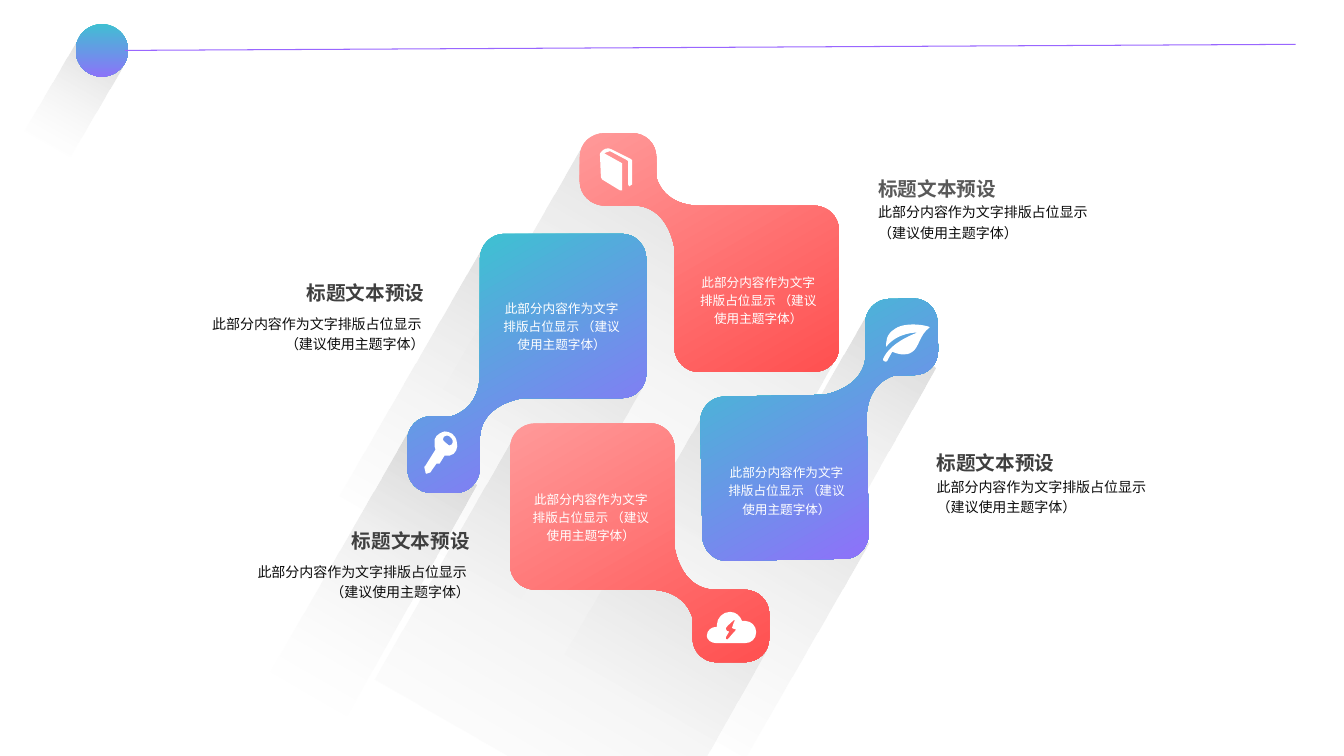
from math import cos, radians, sin

from lxml import etree
from pptx import Presentation
from pptx.dml.color import RGBColor
from pptx.enum.shapes import MSO_CONNECTOR, MSO_SHAPE
from pptx.enum.text import MSO_ANCHOR, PP_ALIGN
from pptx.oxml.ns import qn
from pptx.util import Inches, Pt

OVAL, RECT = MSO_SHAPE.OVAL, MSO_SHAPE.RECTANGLE
STRAIGHT = MSO_CONNECTOR.STRAIGHT
TOP, MIDDLE, BOTTOM = MSO_ANCHOR.TOP, MSO_ANCHOR.MIDDLE, MSO_ANCHOR.BOTTOM
LEFT, CENTER, RIGHT = PP_ALIGN.LEFT, PP_ALIGN.CENTER, PP_ALIGN.RIGHT

COLORS = {
    "white": "FFFFFF", "gray": "BFBFBF", "teal": "33CCCC", "violet": "9966FF",
    "pink": "FF9999", "red": "FF5050", "dark": "3F3F3F", "mid": "595959", "ink": "0C0C0C",
}
BLUE, WARM, FADE = ("teal", "violet"), ("pink", "red"), ("gray", "white")
TILT = 30
WIDTH, HEIGHT = 13.33, 7.5

HEAD = "标题文本预设"
INNER = "此部分内容作为文字排版占位显示 （建议使用主题字体）"
BODY = "此部分内容作为文字排版占位显示 \v（建议使用主题字体）"

BLOB = [
    (0, 0), (.27, 0), (.29, 0), (.36, 0, .61, .02, .69, .42), (.69, 1.41),
    (.69, 1.54, .8, 1.65, .93, 1.65), (2.07, 1.65), (2.21, 1.65, 2.32, 1.54, 2.32, 1.41),
    (2.32, .24), (2.32, .11, 2.21, 0, 2.07, 0), (.9, 0), (.77, -.01, .58, -.06, .51, -.28),
    (.51, -.48), (.51, -.62, .4, -.72, .27, -.72), (0, -.72),
    (-.14, -.72, -.25, -.62, -.25, -.48), (-.25, -.24), (-.25, -.11, -.14, 0, 0, 0),
]
KEY = [[
    (.32, .1), (.31, .03, .25, 0, .2, 0), (.13, .02, .09, .06, .1, .12),
    (.1, .14, .1, .16, .11, .18), (.01, .34), (0, .34, 0, .35, 0, .36), (.01, .4),
    (.01, .41, .01, .42, .02, .42), (.05, .41), (.06, .41, .07, .4, .07, .39), (.12, .32),
    (.15, .32), (.2, .24), (.25, .24), (.31, .23, .34, .16, .32, .1),
], [
    (.27, .13), (.25, .15, .24, .14, .22, .12), (.2, .1, .17, .09, .19, .06),
    (.2, .04, .24, .03, .26, .06), (.28, .07, .29, .11, .27, .13),
]]
CLOUD = [[
    (.38, .09), (.35, .09), (.33, .04, .29, 0, .23, 0), (.16, 0, .1, .06, .1, .13), (.1, .15),
    (.09, .15), (.05, .15, 0, .18, 0, .24), (0, .28, .05, .31, .09, .31), (.38, .31),
    (.44, .31, .49, .27, .49, .2), (.49, .14, .44, .09, .38, .09),
], [
    (.28, .19), (.26, .21, .22, .26, .21, .27), (.21, .27, .2, .28, .19, .27), (.19, .25),
    (.22, .2), (.22, .19, .21, .19, .2, .19), (.19, .18, .19, .18, .19, .17), (.19, .16),
    (.2, .14, .26, .09, .26, .09), (.27, .08), (.28, .09), (.27, .1), (.25, .16),
    (.26, .16, .26, .17, .27, .17), (.28, .17, .29, .17, .29, .18),
]]
BOOK = [[
    (.31, .12), (.11, .02), (.08, 0, .03, .02, .01, .05), (0, .06, 0, .07, 0, .07), (.01, .3),
    (.01, .3, .02, .31, .02, .32), (.2, .43), (.22, .43), (.22, .18), (.22, .16), (.04, .06),
    (.04, .06, .05, .06, .07, .05), (.08, .04, .09, .04, .1, .04), (.27, .13), (.28, .14),
    (.28, .37), (.29, .39), (.32, .37), (.32, .13),
]]
LEAF = [[
    (.13, .08), (.03, .14, .04, .22, .04, .26), (.16, .11, .35, .12, .35, .12),
    (.35, .12, .08, .21, .01, .38), (0, .4, .04, .42, .05, .4), (.07, .36, .1, .31, .1, .31),
    (.15, .33, .23, .36, .3, .31), (.37, .26, .37, .14, .47, .07), (.5, .06, .25, 0, .13, .08),
]]

WIDE = [(0, 0), (2.48, 2.16), (1.4, 4.06), (-1.41, 2.45)]
HALF = [(0, 0), (1.6, 1.35), (.38, 3.48), (-1.41, 2.45)]
SLIM = [(0, 0), (.64, .6), (-.65, 2.89), (-1.41, 2.45)]
TRAILS = [
    (HALF, 4.78, 2.47), (HALF, 7.01, 4.04), (WIDE, 5.12, 4.29),
    (WIDE, 5.8, 1.41), (SLIM, 4.09, 4.21), (SLIM, 8.64, 3.05),
]
PETALS = [
    (4.76, 4.64, -90, BLUE, KEY, (4.21, 4.28), (4.99, 2.68)),
    (7.38, 5.85, 180, WARM, CLOUD, (7.01, 6.07), (5.28, 4.57)),
    (6, 2.04, 0, WARM, BOOK, (5.95, 1.46), (6.94, 2.42)),
    (8.58, 3.22, 89, BLUE, LEAF, (8.75, 3.18), (7.22, 4.31)),
]
NOTES = [
    (1.69, 2.75, RIGHT, "dark"), (8.32, 1.72, LEFT, "mid"),
    (8.9, 4.44, LEFT, "dark"), (2.14, 5.21, RIGHT, "dark"),
]


def rgb(name):
    """Return a named colour."""
    return RGBColor.from_string(COLORS[name])


def apply(item, values):
    """Set attributes from a dict of format values."""
    for name, value in values.items():
        setattr(item, name, value)


def paint(shape, tones, angle=0, alphas=()):
    """Fill a shape with one colour or a two-stop gradient, without outline."""
    shape.shadow.inherit = False
    shape.line.fill.background()
    if len(tones) == 1:
        shape.fill.solid()
        shape.fill.fore_color.rgb = rgb(tones[0])
    else:
        shape.fill.gradient()
        shape.fill.gradient_angle = 360 - angle
        for stop, tone in zip(shape.fill.gradient_stops, tones):
            stop.color.rgb = rgb(tone)
    marks = list(shape._element.spPr.iter(qn("a:srgbClr")))
    for mark, alpha in zip(marks, alphas):
        etree.SubElement(mark, qn("a:alpha")).set("val", str(alpha * 1000))


def pairs(part):
    """Split a path part into its points."""
    return list(zip(part[::2], part[1::2]))


def turn(path, angle):
    """Rotate path parts clockwise about the zero point."""
    c, s = cos(radians(angle)), sin(radians(angle))
    return [tuple(v for x, y in pairs(part) for v in (x * c - y * s, x * s + y * c))
            for part in path]


def trace(slide, x, y, rings):
    """Draw closed rings of lines and cubic curves from a given place."""
    build = None
    for ring in rings:
        spots = [(Inches(x + a), Inches(y + b)) for part in ring for a, b in pairs(part)]
        if build is None:
            build = slide.shapes.build_freeform(*spots[0], scale=1.0)
        else:
            build.move_to(*spots[0])
        build.add_line_segments(spots[1:], close=True)
    shape = build.convert_to_shape()
    lines = iter(list(shape._element.spPr.iter(qn("a:lnTo"))))
    for part in (part for ring in rings for part in ring[1:]):
        first, *rest = [next(lines) for _ in pairs(part)]
        if rest:
            curve = etree.Element(qn("a:cubicBezTo"))
            first.addprevious(curve)
            for line in (first, *rest):
                curve.append(line[0])
                line.getparent().remove(line)
    return shape


def write(slide, box, text, font, align, para=None, frame=None):
    """Place one paragraph of text in a box."""
    area = slide.shapes.add_textbox(*map(Inches, box)).text_frame
    base = dict.fromkeys(("margin_left", "margin_right", "margin_top", "margin_bottom"), 0)
    apply(area, {**base, "word_wrap": True, "vertical_anchor": MIDDLE, **(frame or {})})
    line = area.paragraphs[0]
    line.text = text
    apply(line, {"alignment": align, **(para or {})})
    size, tone, bold = font
    for run in line.runs:
        apply(run.font, {"name": "Arial", "size": Pt(size), "bold": bold})
        run.font.color.rgb = rgb(tone)


def header(slide, x, y, size):
    """Draw the ball, its cast shade and the long rule."""
    shade = slide.shapes.add_shape(RECT, *map(Inches, (x - .27, y + .19, size, 1.07)))
    paint(shade, FADE, 90, (70, 0))
    ball = slide.shapes.add_shape(OVAL, *map(Inches, (x, y, size, size)))
    paint(ball, BLUE, 90)
    ball._element.spPr.find(qn("a:gradFill")).set("rotWithShape", "0")
    shade.rotation = ball.rotation = TILT
    rule = slide.shapes.add_connector(
        STRAIGHT, *map(Inches, (x + .49, y + .26, x + 12.1, y + .2)))
    rule.line.color.rgb = rgb("violet")
    rule.line.width = Pt(.75)
    etree.SubElement(rule._element.spPr, qn("a:effectLst"))


def trail(slide, path, x, y):
    """Cast a tilted fading shade from a corner."""
    points = turn([(x + a, y + b) for a, b in path], -TILT)
    mid = [(min(axis) + max(axis)) / 2 for axis in zip(*points)]
    real = turn([mid], TILT)[0]
    shade = trace(slide, real[0] - mid[0], real[1] - mid[1], [points])
    shade.rotation = TILT
    paint(shade, FADE, 90, (70, 0))


def petal(slide, x, y, angle, tones, icon, spot, text):
    """Draw a turned petal with its icon and caption."""
    paint(trace(slide, x, y, [turn(BLOB, angle)]), tones, 60)
    paint(trace(slide, *spot, icon), ("white",))
    write(slide, (*text, 1.16, 1.09), INNER, (9, "white", False), CENTER, {"line_spacing": 1.2})


def note(slide, x, y, align, tone):
    """Place a heading over its description."""
    right = align == RIGHT
    inset, end = (0, .39) if right else (.39, .24)
    pads = {"margin_left": Inches(inset), "margin_right": Inches(end)}
    box = (x + 1.28, y, 1.63, .27) if right else (x, y, 2.89, .27)
    write(slide, box, HEAD, (14, tone, True), align,
          frame={**pads, "word_wrap": False, "vertical_anchor": BOTTOM})
    write(slide, (x, y + .27, 2.91 if right else 2.89, .56), BODY, (10, "ink", False), align,
          {"line_spacing": 1.2}, {**pads, "vertical_anchor": MIDDLE if right else TOP})


def main():
    """Build and save the slide."""
    deck = Presentation()
    apply(deck, {"slide_width": Inches(WIDTH), "slide_height": Inches(HEIGHT)})
    slide = deck.slides.add_slide(deck.slide_layouts[6])
    veil = slide.shapes.add_shape(RECT, 0, 0, Inches(WIDTH), Inches(HEIGHT))
    paint(veil, ("white",), alphas=(50,))
    header(slide, .75, .24, .52)
    for draw, rows in ((trail, TRAILS), (petal, PETALS), (note, NOTES)):
        for row in rows:
            draw(slide, *row)
    deck.save("out.pptx")


if __name__ == "__main__":
    main()
